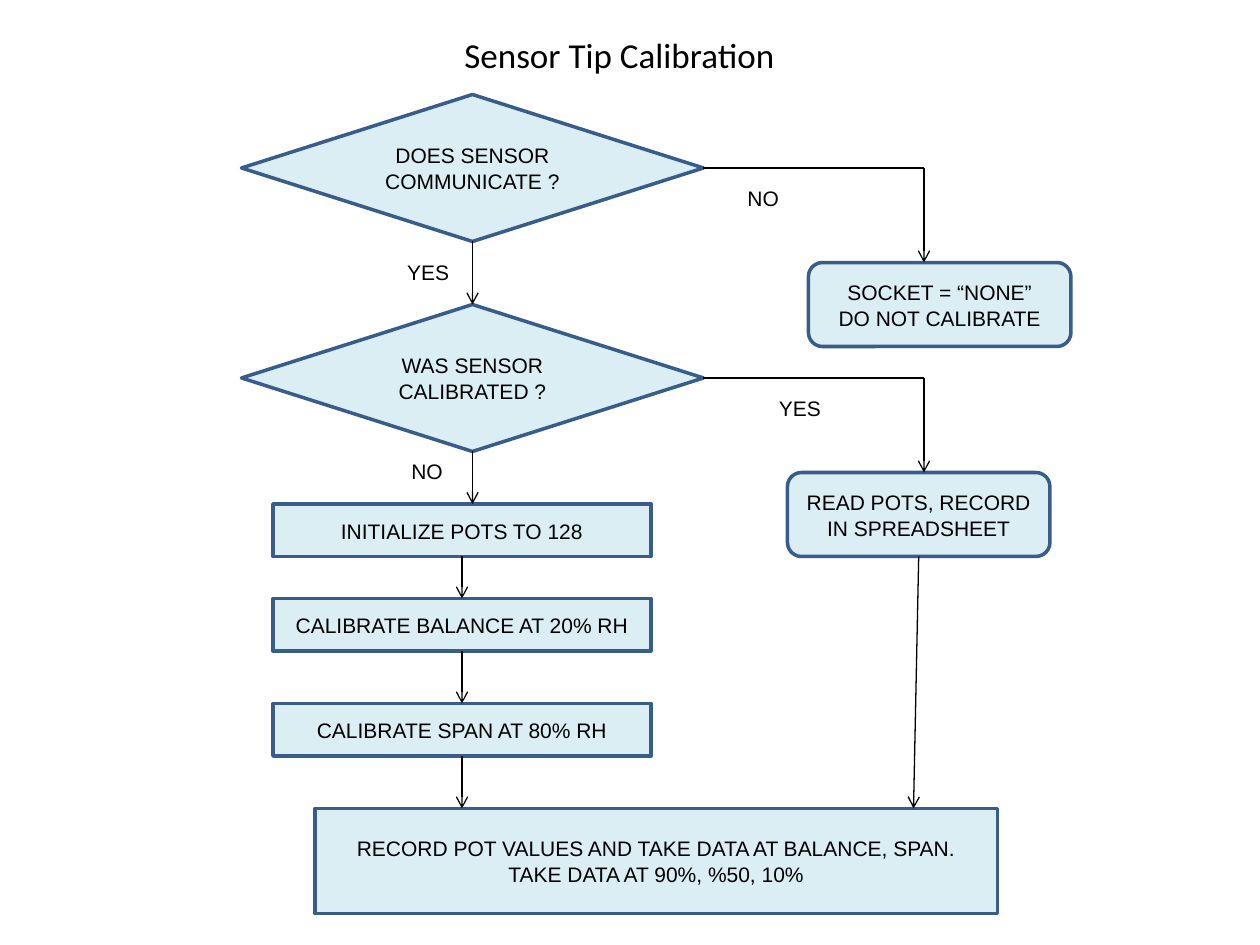
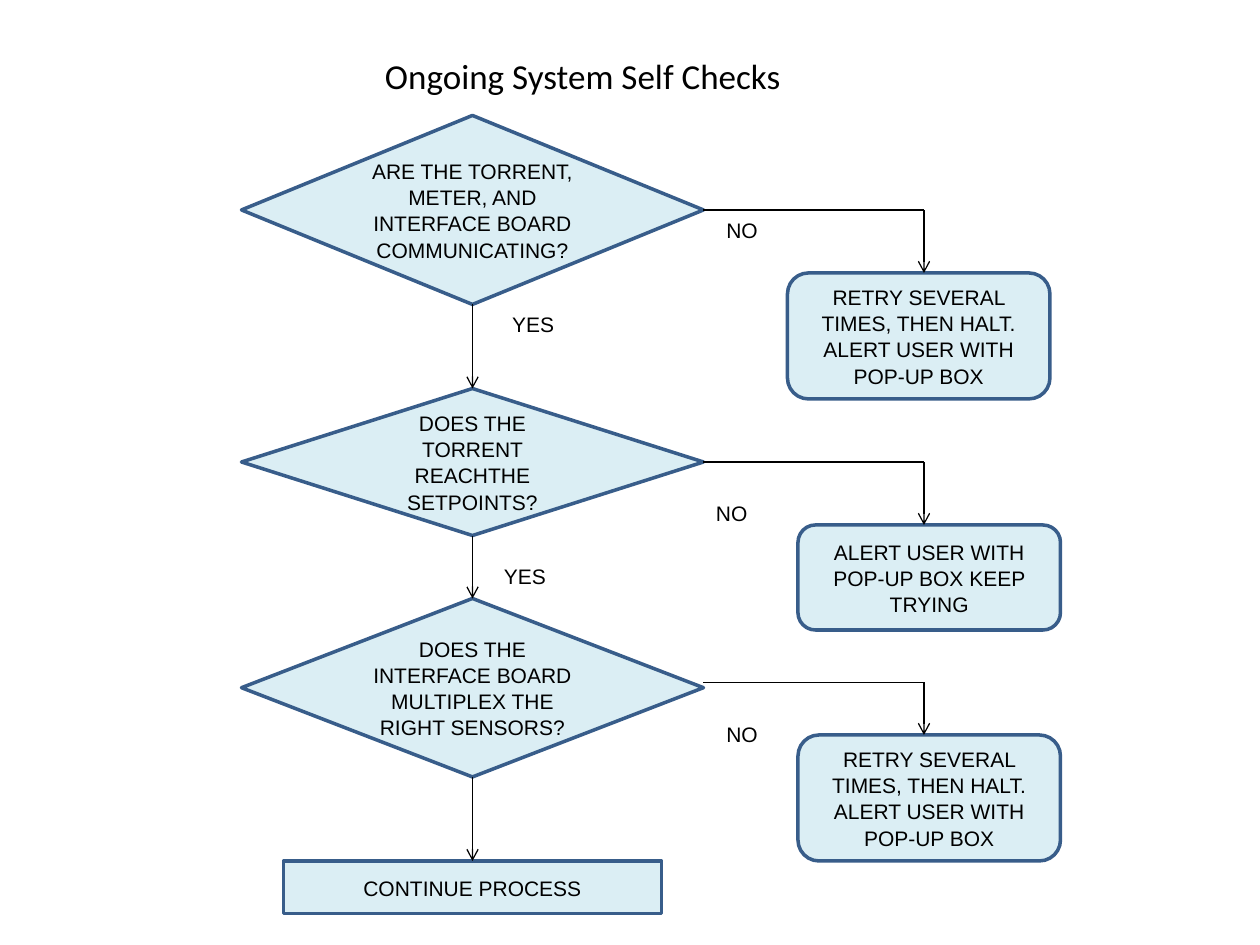
from pptx import Presentation
from pptx import util as u
from pptx.dml.color import RGBColor
from pptx.enum import shapes, text
from pptx.oxml.ns import qn
from lxml import etree

PX = 7620  # EMU in one px, 120 px to the inch
FILL, EDGE, INK = "DBEEF4", "385D8A", "000000"
ASK = shapes.MSO_SHAPE.FLOWCHART_DECISION
STEP = shapes.MSO_SHAPE.FLOWCHART_PROCESS
END = shapes.MSO_SHAPE.FLOWCHART_ALTERNATE_PROCESS
RETRY = "RETRY SEVERAL TIMES, THEN HALT.\nALERT USER WITH POP-UP BOX"

# Each node: kind, left, top, width, height, words
# Each route: points, with an arrowhead at the last one
charts = [
    dict(
        title=("Sensor Tip Calibration", 50, 20, 1080, 64),
        nodes=[
            (ASK, 230, 90, 440, 140, "DOES SENSOR COMMUNICATE ?"),
            (ASK, 230, 290, 440, 140, "WAS SENSOR CALIBRATED ?"),
            (STEP, 260, 480, 360, 50, "INITIALIZE POTS TO 128"),
            (STEP, 260, 570, 360, 50, "CALIBRATE BALANCE AT 20% RH"),
            (STEP, 260, 670, 360, 50, "CALIBRATE SPAN AT 80% RH"),
            (STEP, 300, 770, 650, 100,
             "RECORD POT VALUES AND TAKE DATA AT BALANCE, SPAN.\n"
             "TAKE DATA AT 90%, %50, 10%"),
            (END, 770, 250, 250, 80, "SOCKET = “NONE”\nDO NOT CALIBRATE"),
            (END, 750, 450, 250, 80, "READ POTS, RECORD IN SPREADSHEET"),
        ],
        routes=[
            [(450, 230), (450, 290)],
            [(450, 430), (450, 480)],
            [(440, 530), (440, 570)],
            [(440, 620), (440, 670)],
            [(440, 720), (440, 770)],
            [(875, 530), (870, 770)],
            [(670, 160), (880, 160), (880, 250)],
            [(670, 360), (880, 360), (880, 450)],
        ],
        labels=[("YES", 376, 240), ("NO", 380, 430),
                ("NO", 700, 170), ("YES", 730, 370)],
    ),
    dict(
        title=("Ongoing System Self Checks", 310, 50, 490, 44),
        nodes=[
            (ASK, 230, 110, 440, 180,
             "ARE THE TORRENT, METER, AND INTERFACE BOARD COMMUNICATING?"),
            (ASK, 230, 370, 440, 140, "DOES THE TORRENT REACHTHE SETPOINTS?"),
            (ASK, 230, 570, 440, 170,
             "DOES THE INTERFACE BOARD MULTIPLEX THE RIGHT SENSORS?"),
            (STEP, 270, 820, 360, 50, "CONTINUE PROCESS"),
            (END, 750, 260, 250, 120, RETRY),
            (END, 760, 500, 250, 100, "ALERT USER WITH POP-UP BOX KEEP TRYING"),
            (END, 760, 700, 250, 120, RETRY),
        ],
        routes=[
            [(450, 290), (450, 370)],
            [(450, 510), (450, 570)],
            [(450, 740), (450, 820)],
            [(670, 200), (880, 200), (880, 260)],
            [(670, 440), (880, 440), (880, 500)],
            [(670, 650), (880, 650), (880, 700)],
        ],
        labels=[("YES", 476, 290), ("YES", 468, 530),
                ("NO", 680, 200), ("NO", 670, 470), ("NO", 680, 680)],
    ),
]


def color(code):
    return RGBColor.from_string(code)


def write(shape, words, size=12, font="Arial", center=True, gap=1.04):
    frame = shape.text_frame
    frame.word_wrap = True
    frame.text = words
    anchor = text.MSO_ANCHOR
    frame.vertical_anchor = anchor.MIDDLE if center else anchor.TOP
    for para in frame.paragraphs:
        para.alignment = text.PP_ALIGN.CENTER if center else text.PP_ALIGN.LEFT
        para.line_spacing = gap
        para.font.size = u.Pt(size)
        para.font.name = font
        para.font.color.rgb = color(INK)


deck = Presentation()
deck.slide_width, deck.slide_height = 1200 * PX, 900 * PX

for chart in charts:
    slide = deck.slides.add_slide(deck.slide_layouts[6])
    parts = slide.shapes

    # Title
    words, *area = chart["title"]
    title = parts.add_textbox(*[n * PX for n in area])
    write(title, words, size=20, font="Calibri", gap=1.0)

    # Nodes, with the middle of each side kept as a joint
    joints = {}
    for kind, x, y, w, h, words in chart["nodes"]:
        node = parts.add_shape(kind, x * PX, y * PX, w * PX, h * PX)
        node.shadow.inherit = False
        node.fill.solid()
        node.fill.fore_color.rgb = color(FILL)
        node.line.color.rgb = color(EDGE)
        node.line.width = u.Pt(2)
        write(node, words)
        sides = [(x + w / 2, y), (x, y + h / 2),
                 (x + w / 2, y + h), (x + w, y + h / 2)]
        for side, spot in enumerate(sides):
            joints[spot] = (node, side)

    # Routes
    for route in chart["routes"]:
        for start, stop in zip(route, route[1:]):
            line = parts.add_connector(
                shapes.MSO_CONNECTOR.STRAIGHT, *[n * PX for n in start + stop])
            line.line.color.rgb = color(INK)
            line.line.width = u.Pt(0.75)
            if start in joints:
                line.begin_connect(*joints[start])
            if stop in joints:
                line.end_connect(*joints[stop])
            if stop == route[-1]:
                edge = line.line._get_or_add_ln()
                etree.SubElement(edge, qn("a:tailEnd"), type="arrow")
            etree.SubElement(line._element.spPr, qn("a:effectLst"))

    # Branch labels
    for words, x, y in chart["labels"]:
        label = parts.add_textbox(x * PX, y * PX, 80 * PX, 36 * PX)
        write(label, words, center=False)

deck.save("out.pptx")
